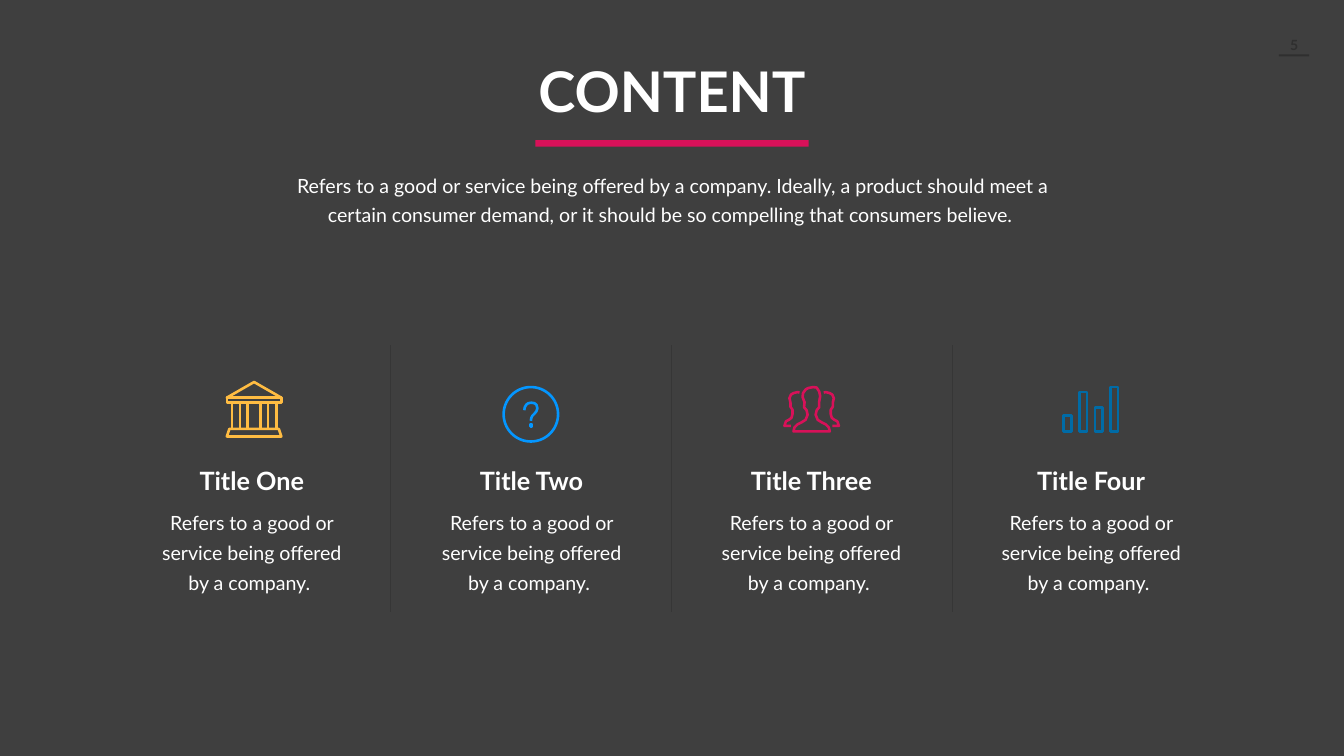
from math import cos, pi, sin

from pptx import Presentation
from pptx.dml.color import RGBColor
from pptx.enum import shapes, text
from pptx.oxml.ns import qn
from pptx.util import Inches, Pt

COLORS = {
    "background": "3F3F3F", "white": "FFFFFF", "page": "2F2F2F", "divider": "363636",
    "yellow": "FFBC42", "blue": "0496FF", "pink": "D81159", "navy": "006BA6",
}


def write(shape, wording, size, bold=False, color="white", spacing=None, margins=(0.1, 0.05)):
    frame = shape.text_frame
    across, down = (Inches(margin) for margin in margins)
    frame_format = {
        "word_wrap": True, "auto_size": text.MSO_AUTO_SIZE.NONE,
        "vertical_anchor": text.MSO_ANCHOR.TOP,
        "margin_left": across, "margin_right": across,
        "margin_top": down, "margin_bottom": down,
    }
    for name, value in frame_format.items():
        setattr(frame, name, value)
    paragraph = frame.paragraphs[0]
    paragraph.text = wording
    paragraph.alignment = text.PP_ALIGN.CENTER
    if spacing:
        paragraph.line_spacing = Pt(spacing)
    for name, value in {"name": "Lato", "size": Pt(size), "bold": bold}.items():
        setattr(paragraph.font, name, value)
    paragraph.font.color.rgb = RGBColor.from_string(COLORS[color])


def rectangle(left, top, right, bottom):
    return [(left, top), (right, top), (right, bottom), (left, bottom)]


presentation = Presentation()
presentation.slide_width, presentation.slide_height = Inches(26.66), Inches(15)
slide = presentation.slides.add_slide(presentation.slide_layouts[5])
slide.background.fill.solid()
slide.background.fill.fore_color.rgb = RGBColor.from_string(COLORS["background"])
items = slide.shapes

# Heading and introduction
title = items.title
title.left, title.top, title.width, title.height = map(Inches, (9.99, 1.08, 6.68, 1.44))
write(title, "CONTENT", 80, bold=True)
introduction = items.add_textbox(*map(Inches, (5.7, 3.31, 15.28, 1.23)))
write(introduction, "Refers to a good or service being offered by a company. Ideally, a product "
      "should meet a certain consumer demand, or it should be so compelling that "
      "consumers believe. ", 28, spacing=40.7)

# Page number
page_number = items.add_textbox(*map(Inches, (25.27, 0.67, 0.8, 0.42)))
write(page_number, "5", 20, bold=True, color="page")

# Rules under heading and page number
for bounds, color in (((10.62, 2.78, 5.42, 0.13), "pink"), ((25.37, 1.08, 0.6, 0.04), "page")):
    rule = items.add_shape(shapes.MSO_SHAPE.RECTANGLE, *map(Inches, bounds))
    rule.shadow.inherit = False
    rule.fill.solid()
    rule.fill.fore_color.rgb = RGBColor.from_string(COLORS[color])
    rule.line.fill.background()

# Columns of text
for index, name in enumerate(("One", "Two", "Three", "Four")):
    left = 2.93 + 5.55 * index
    heading = items.add_textbox(*map(Inches, (left, 9.18, 4.13, 0.7)))
    write(heading, f"Title {name}", 36, bold=True)
    description = items.add_textbox(*map(Inches, (left, 9.88, 4.13, 2.03)))
    write(description, "Refers to a good or service being offered by a company. ", 28,
          spacing=43, margins=(0.24, 0.12))

# Dividers between the columns
for index in range(3):
    x = Inches(7.73 + 5.58 * index)
    divider = items.add_connector(shapes.MSO_CONNECTOR.STRAIGHT, x, Inches(6.85), x, Inches(12.15))
    divider.line.color.rgb = RGBColor.from_string(COLORS["divider"])
    divider.line.width = Pt(0.5)
    properties = divider._element.spPr
    properties.append(properties.makeelement(qn("a:effectLst"), {}))

# Bank icon: roof, entablature, base and columns
bank = [
    (True, [(4.5, 7.89), (5.04, 7.58), (5.58, 7.89)]),
    (True, rectangle(4.5, 7.89, 5.58, 7.99)),
    (True, [(4.55, 8.51), (5.53, 8.51), (5.58, 8.66), (4.5, 8.66)]),
]
for x in (4.6, 4.76, 4.91, 5.17, 5.32, 5.48):
    bank.append((False, [(x, 7.99), (x, 8.51)]))

# Question icon: circle, hook and dot
angles = [pi * step / 36 for step in range(72)]
question = [
    (True, [(10.53 + 0.54 * cos(angle), 8.22 + 0.54 * sin(angle)) for angle in angles]),
    (False, [
        (10.4, 8.14), (10.41, 8.08), (10.44, 8.03), (10.48, 8), (10.54, 7.99), (10.6, 8),
        (10.64, 8.03), (10.66, 8.1), (10.64, 8.16), (10.6, 8.21), (10.56, 8.25),
        (10.54, 8.29), (10.53, 8.35),
    ]),
    (True, rectangle(10.52, 8.41, 10.55, 8.46)),
]

# People icon: the side figures mirror each other
front_person = [
    (15.74, 8.56), (15.76, 8.48), (15.82, 8.42), (15.9, 8.38), (15.98, 8.33), (16.02, 8.23),
    (16, 8.14), (15.95, 8.08), (15.96, 7.98), (15.92, 7.88), (15.93, 7.8), (15.98, 7.73),
    (16.03, 7.7), (16.13, 7.68), (16.2, 7.69), (16.25, 7.77), (16.27, 7.86), (16.25, 7.97),
    (16.25, 8.08), (16.2, 8.14), (16.18, 8.23), (16.22, 8.33), (16.3, 8.38), (16.38, 8.42),
    (16.44, 8.48), (16.46, 8.56),
]
right_person = [
    (16.34, 7.79), (16.38, 7.78), (16.46, 7.8), (16.51, 7.83), (16.54, 7.9), (16.52, 7.99),
    (16.52, 8.07), (16.48, 8.13), (16.48, 8.22), (16.5, 8.29), (16.55, 8.33), (16.61, 8.36),
    (16.64, 8.45), (16.51, 8.45),
]
left_person = [(32.2 - x, y) for x, y in right_person]
people = [(True, front_person), (False, right_person), (False, left_person)]

# Chart icon: four bars
bars = []
for index, top in enumerate((8.24, 7.78, 8.09, 7.68)):
    left = 21.1 + 0.31 * index
    bars.append((True, rectangle(left, top, left + 0.15, 8.56)))

# Each icon is one outline made of several strokes
for color, strokes in (("yellow", bank), ("blue", question), ("pink", people), ("navy", bars)):
    builder = None
    for closed, points in strokes:
        points = [(Inches(x), Inches(y)) for x, y in points]
        if builder is None:
            builder = items.build_freeform(*points[0])
        else:
            builder.move_to(*points[0])
        builder.add_line_segments(points[1:], close=closed)
    icon = builder.convert_to_shape()
    icon.shadow.inherit = False
    icon.fill.background()
    icon.line.color.rgb = RGBColor.from_string(COLORS[color])
    icon.line.width = Pt(3.7)

presentation.save("out.pptx")
